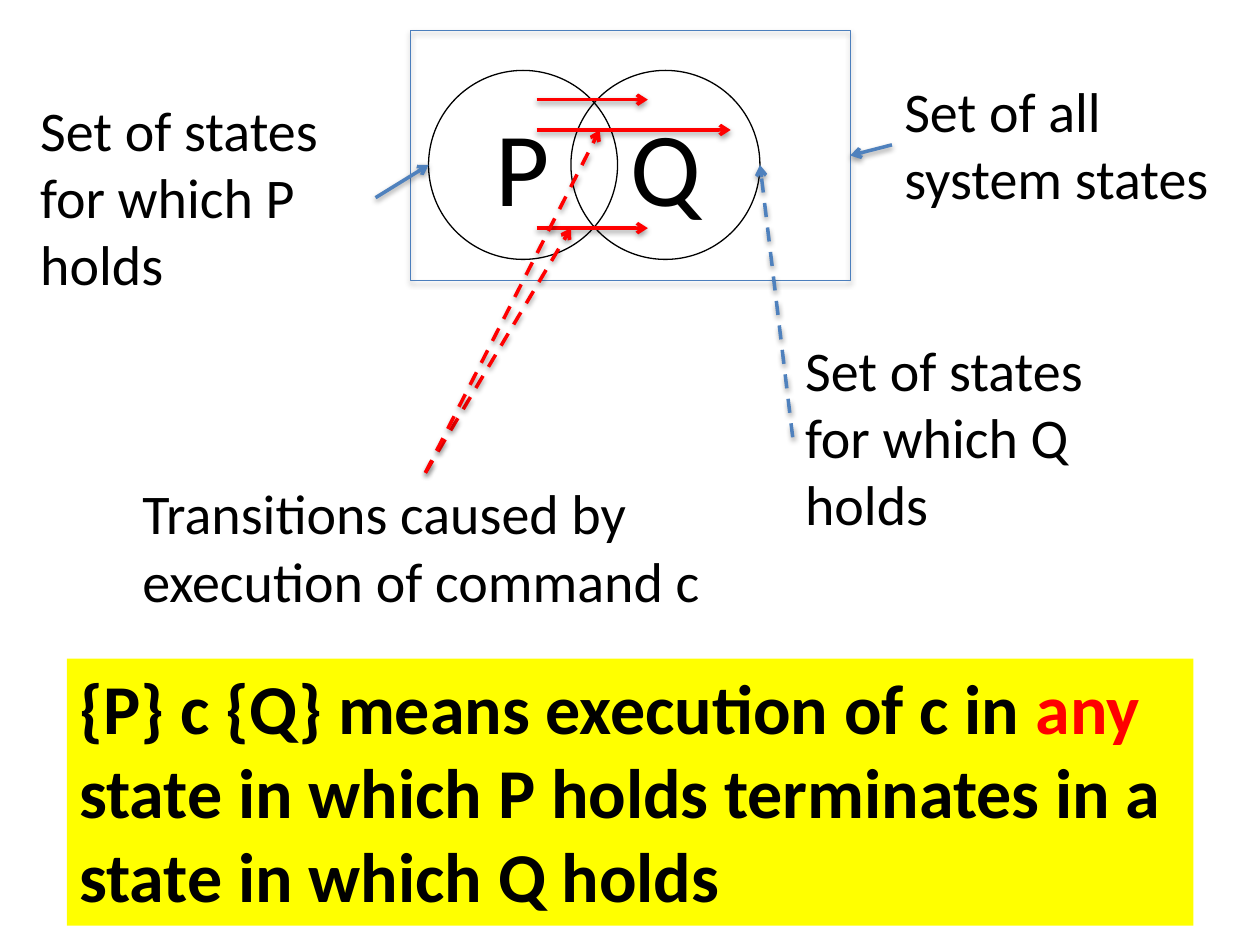
"""Build the slide that explains the meaning of a Hoare triple with a set diagram."""
from dataclasses import dataclass

from lxml import etree
from pptx import Presentation
from pptx.dml.color import RGBColor
from pptx.enum.dml import MSO_LINE
from pptx.enum.shapes import MSO_CONNECTOR, MSO_SHAPE
from pptx.enum.text import MSO_ANCHOR, MSO_AUTO_SIZE, PP_ALIGN
from pptx.oxml.ns import qn
from pptx.util import Cm, Pt

DASH = MSO_LINE.DASH
STRAIGHT = MSO_CONNECTOR.STRAIGHT
OVAL, RECTANGLE = MSO_SHAPE.OVAL, MSO_SHAPE.RECTANGLE
MIDDLE = MSO_ANCHOR.MIDDLE
CENTER = PP_ALIGN.CENTER
GROW = MSO_AUTO_SIZE.SHAPE_TO_FIT_TEXT
TOP, LEFT, RIGHT = 0, 1, 3


@dataclass(frozen=True)
class Theme:
    font: str = "Calibri"
    text: RGBColor = RGBColor(0, 0, 0)
    red: RGBColor = RGBColor(255, 0, 0)
    blue: RGBColor = RGBColor(0x4F, 0x81, 0xBD)
    frame: RGBColor = RGBColor(0x4B, 0x7E, 0xBC)
    banner: RGBColor = RGBColor(255, 255, 0)
    label_size: Pt = Pt(32)
    banner_size: Pt = Pt(40)
    set_size: Pt = Pt(60)
    outline: Pt = Pt(0.75)
    arrow: Pt = Pt(2)


@dataclass(frozen=True)
class Box:
    left: float
    top: float
    width: float
    height: float

    def lengths(self) -> list:
        return [Cm(value) for value in (self.left, self.top, self.width, self.height)]


@dataclass(frozen=True)
class Arrow:
    start: tuple
    end: tuple
    color: RGBColor
    dashed: bool = False
    start_label: str = ""
    start_site: int = LEFT
    end_at_frame: bool = False


THEME = Theme()
DIAMETER = 3.81
CIRCLE_TOP = 1.42
CIRCLE_LEFTS = {"P": 8.64, "Q": 11.51}
CIRCLE_MIDDLE = CIRCLE_TOP + DIAMETER / 2
FRAME = Box(8.28, 0.61, 8.86, 5.05)
BANNER = Box(1.35, 13.28, 22.71, 5.38)
LABELS = {
    "Set of all system states": Box(17.98, 1.42, 7.01, 3),
    "Set of states for which P holds": Box(0.56, 1.8, 7.01, 4.37),
    "Set of states for which Q holds": Box(15.98, 6.63, 7.01, 4.37),
    "Transitions caused by execution of command c": Box(2.62, 9.53, 11.91, 3),
}
ALL_STATES, P_STATES, Q_STATES, TRANSITIONS = LABELS
TRANSITION_START = 10.82
TRANSITION_ENDS = [(14.73, 2.62), (13.06, 4.6), (13.06, 2.01)]
POINTED_TRANSITIONS = [(11.51, 4.6), (12.09, 2.62)]
BANNER_RUNS = [
    ("{P} c {Q} means execution of c in ", THEME.text),
    ("any ", THEME.red),
    ("state in which P holds terminates in a state in which Q holds", THEME.text),
]
ARROWS = [
    *(Arrow((TRANSITION_START, y), (x, y), THEME.red) for x, y in TRANSITION_ENDS),
    Arrow((17.98, 2.92), (17.14, 3.13), THEME.blue, False, ALL_STATES, LEFT, True),
    Arrow((7.57, 3.98), (CIRCLE_LEFTS["P"], CIRCLE_MIDDLE), THEME.blue, False, P_STATES, RIGHT),
    Arrow((15.98, 8.81), (CIRCLE_LEFTS["Q"] + DIAMETER, CIRCLE_MIDDLE), THEME.blue, True, Q_STATES),
    *(Arrow((8.57, 9.53), end, THEME.red, True, TRANSITIONS, TOP) for end in POINTED_TRANSITIONS),
]


def add_shadow(shape, distance: int, alpha: int) -> None:
    properties = shape._element.spPr
    effects = properties.find(qn("a:effectLst"))
    if effects is None:
        effects = etree.SubElement(properties, qn("a:effectLst"))
    shadow = etree.SubElement(effects, qn("a:outerShdw"), blurRad="40000",
                              dist=str(distance), dir="5400000", rotWithShape="0")
    color = etree.SubElement(shadow, qn("a:srgbClr"), val="000000")
    etree.SubElement(color, qn("a:alpha"), val=str(alpha * 1000))


def format_run(run, size: Pt, color: RGBColor = THEME.text, bold: bool = False) -> None:
    run.font.name = THEME.font
    run.font.size = size
    run.font.bold = bold
    run.font.color.rgb = color


def add_outline(slide, kind, box: Box, color: RGBColor):
    shape = slide.shapes.add_shape(kind, *box.lengths())
    shape.shadow.inherit = False
    shape.fill.background()
    shape.line.color.rgb = color
    shape.line.width = THEME.outline
    return shape


def add_set(slide, name: str, left: float) -> None:
    shape = add_outline(slide, OVAL, Box(left, CIRCLE_TOP, DIAMETER, DIAMETER), THEME.text)
    frame = shape.text_frame
    frame.text = name
    frame.word_wrap = False
    frame.vertical_anchor = MIDDLE
    paragraph = frame.paragraphs[0]
    paragraph.alignment = CENTER
    format_run(paragraph.runs[0], THEME.set_size)


def add_text_box(slide, box: Box):
    shape = slide.shapes.add_textbox(*box.lengths())
    shape.text_frame.word_wrap = True
    shape.text_frame.auto_size = GROW
    return shape


def add_label(slide, text: str, box: Box):
    shape = add_text_box(slide, box)
    shape.text_frame.text = text
    format_run(shape.text_frame.paragraphs[0].runs[0], THEME.label_size)
    return shape


def add_arrow(slide, arrow: Arrow, labels: dict, frame) -> None:
    points = [Cm(value) for value in (*arrow.start, *arrow.end)]
    connector = slide.shapes.add_connector(STRAIGHT, *points)
    if arrow.start_label:
        connector.begin_connect(labels[arrow.start_label], arrow.start_site)
    if arrow.end_at_frame:
        connector.end_connect(frame, RIGHT)
    connector.line.color.rgb = arrow.color
    connector.line.width = THEME.arrow
    if arrow.dashed:
        connector.line.dash_style = DASH
    etree.SubElement(connector.line._get_or_add_ln(), qn("a:tailEnd"), type="arrow")
    add_shadow(connector, 20000, 38)


def add_banner(slide) -> None:
    shape = add_text_box(slide, BANNER)
    shape.fill.solid()
    shape.fill.fore_color.rgb = THEME.banner
    paragraph = shape.text_frame.paragraphs[0]
    for text, color in BANNER_RUNS:
        run = paragraph.add_run()
        run.text = text
        format_run(run, THEME.banner_size, color, True)


def main() -> None:
    presentation = Presentation()
    presentation.slide_width, presentation.slide_height = Cm(25.4), Cm(19.05)
    slide = presentation.slides.add_slide(presentation.slide_layouts[6])
    for name, left in CIRCLE_LEFTS.items():
        add_set(slide, name, left)
    frame = add_outline(slide, RECTANGLE, FRAME, THEME.frame)
    add_shadow(frame, 23000, 35)
    labels = {text: add_label(slide, text, box) for text, box in LABELS.items()}
    for arrow in ARROWS:
        add_arrow(slide, arrow, labels, frame)
    add_banner(slide)
    presentation.save("out.pptx")


if __name__ == "__main__":
    main()
